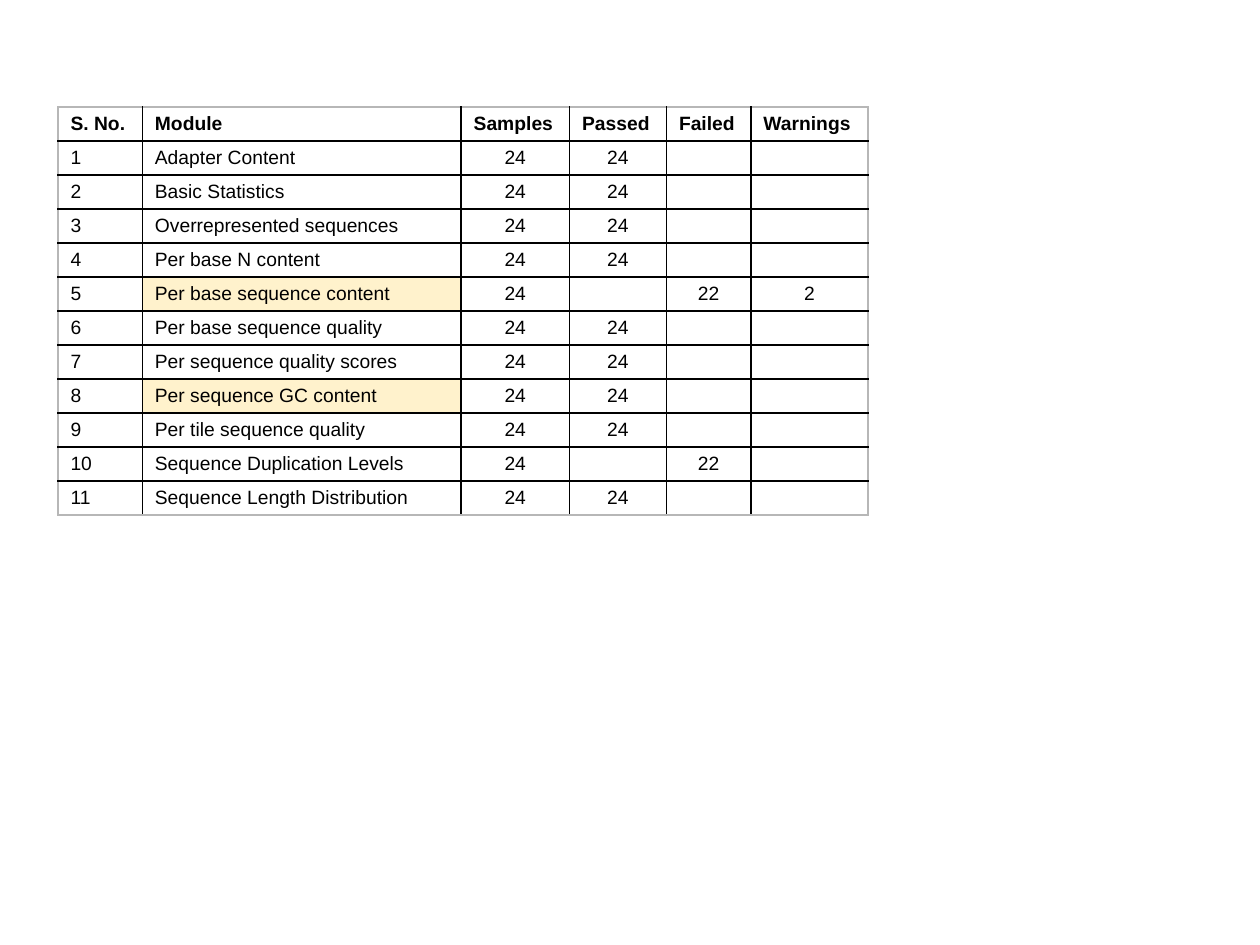
from lxml.etree import SubElement
from pptx import Presentation
from pptx.dml.color import RGBColor
from pptx.enum.text import MSO_ANCHOR, PP_ALIGN
from pptx.oxml.ns import qn
from pptx.util import Inches, Pt

COLORS = {"ink": "000000", "edge": "B7B7B7", "mark": "FFF2CC"}
WIDTHS = [0.67, 2.53, 0.86, 0.77, 0.67, 0.93]
HEADS = ["S. No.", "Module", "Samples", "Passed", "Failed", "Warnings"]
MODULES = [
    ("Adapter Content", "24", "", ""),
    ("Basic Statistics", "24", "", ""),
    ("Overrepresented sequences", "24", "", ""),
    ("Per base N content", "24", "", ""),
    ("Per base sequence content", "", "22", "2"),
    ("Per base sequence quality", "24", "", ""),
    ("Per sequence quality scores", "24", "", ""),
    ("Per sequence GC content", "24", "", ""),
    ("Per tile sequence quality", "24", "", ""),
    ("Sequence Duplication Levels", "", "22", ""),
    ("Sequence Length Distribution", "24", "", ""),
]
MARKED = {"Per base sequence content", "Per sequence GC content"}
ROW = 0.27


def put_text(cell, text, size=11, bold=False, align=PP_ALIGN.LEFT):
    para = cell.text_frame.paragraphs[0]
    para.alignment = align
    if not text:
        para._p.get_or_add_endParaRPr().set("sz", str(size * 100))
        return
    run = para.add_run()
    run.text = text
    font = run.font
    font.name = "Arial"
    font.size = Pt(size)
    font.bold = bold
    font.color.rgb = RGBColor.from_string(COLORS["ink"])


def add_lines(cell, outer):
    props = cell._tc.get_or_add_tcPr()
    for side in "LRTB":
        line = SubElement(props, qn(f"a:ln{side}"), w=str(Pt(1)))
        fill = SubElement(line, qn("a:solidFill"))
        color = COLORS["edge" if side in outer else "ink"]
        SubElement(fill, qn("a:srgbClr"), val=color)


def fill_cell(cell, text):
    cell.vertical_anchor = MSO_ANCHOR.MIDDLE
    cell.margin_left = cell.margin_right = Inches(0.1)
    cell.margin_top = cell.margin_bottom = Inches(0.04)
    if text in MARKED:
        cell.fill.solid()
        cell.fill.fore_color.rgb = RGBColor.from_string(COLORS["mark"])
    else:
        cell.fill.background()


def add_grid(slide, rows):
    last_row, last_col = len(rows) - 1, len(WIDTHS) - 1
    frame = slide.shapes.add_table(
        len(rows), len(WIDTHS), Inches(0.46), Inches(0.85),
        Inches(sum(WIDTHS)), Inches(ROW * len(rows)))
    table = frame.table
    table.first_row = table.horz_banding = False
    for col, width in zip(table.columns, WIDTHS):
        col.width = Inches(width)
    for i, row in enumerate(rows):
        table.rows[i].height = Inches(ROW)
        for j, text in enumerate(row):
            cell = table.cell(i, j)
            sides = {"T": i == 0, "B": i == last_row,
                     "L": j == 0, "R": j == last_col}
            add_lines(cell, [side for side, on in sides.items() if on])
            fill_cell(cell, text)
            center = i > 0 and j > 1
            put_text(cell, text, bold=i == 0,
                     align=PP_ALIGN.CENTER if center else PP_ALIGN.LEFT)


def main():
    deck = Presentation()
    deck.slide_width, deck.slide_height = Inches(10), Inches(7.5)
    slide = deck.slides.add_slide(deck.slide_layouts[6])
    rows = [HEADS]
    for number, (name, *counts) in enumerate(MODULES, 1):
        rows.append([str(number), name, "24", *counts])
    add_grid(slide, rows)
    deck.save("out.pptx")


if __name__ == "__main__":
    main()
